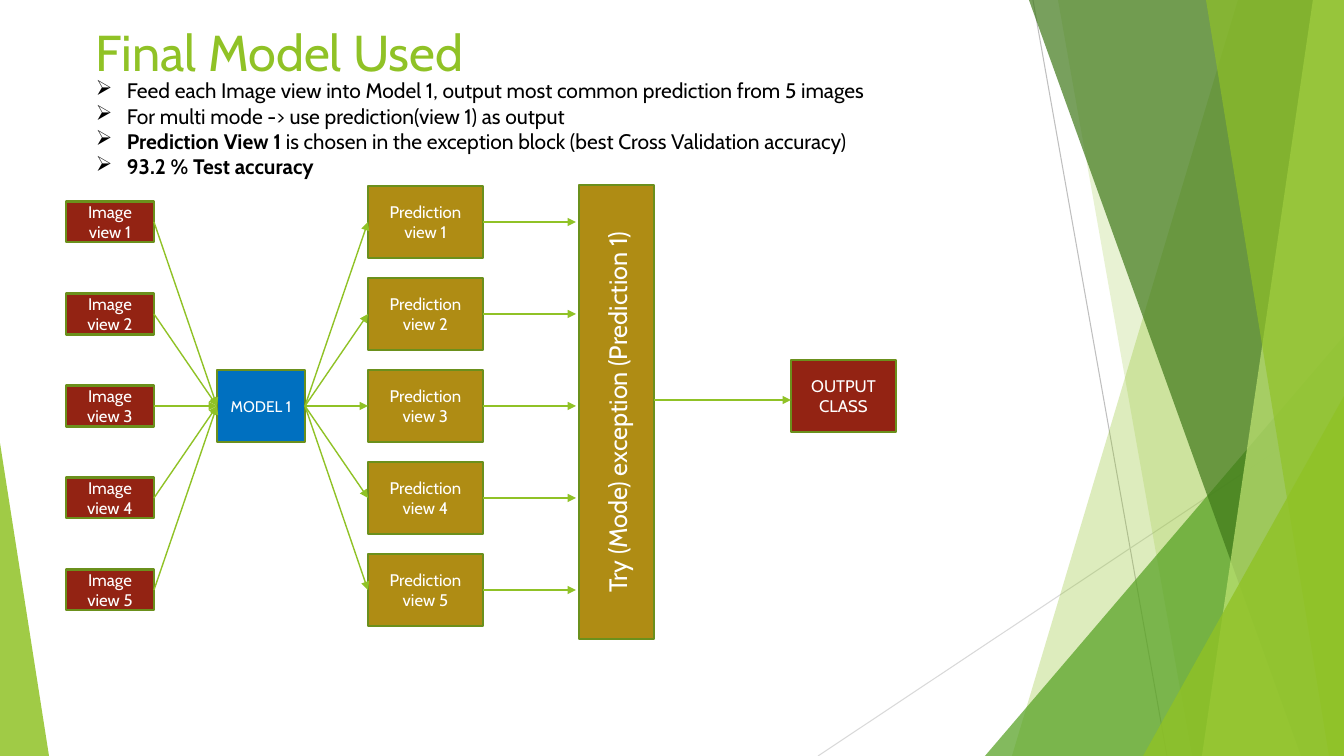
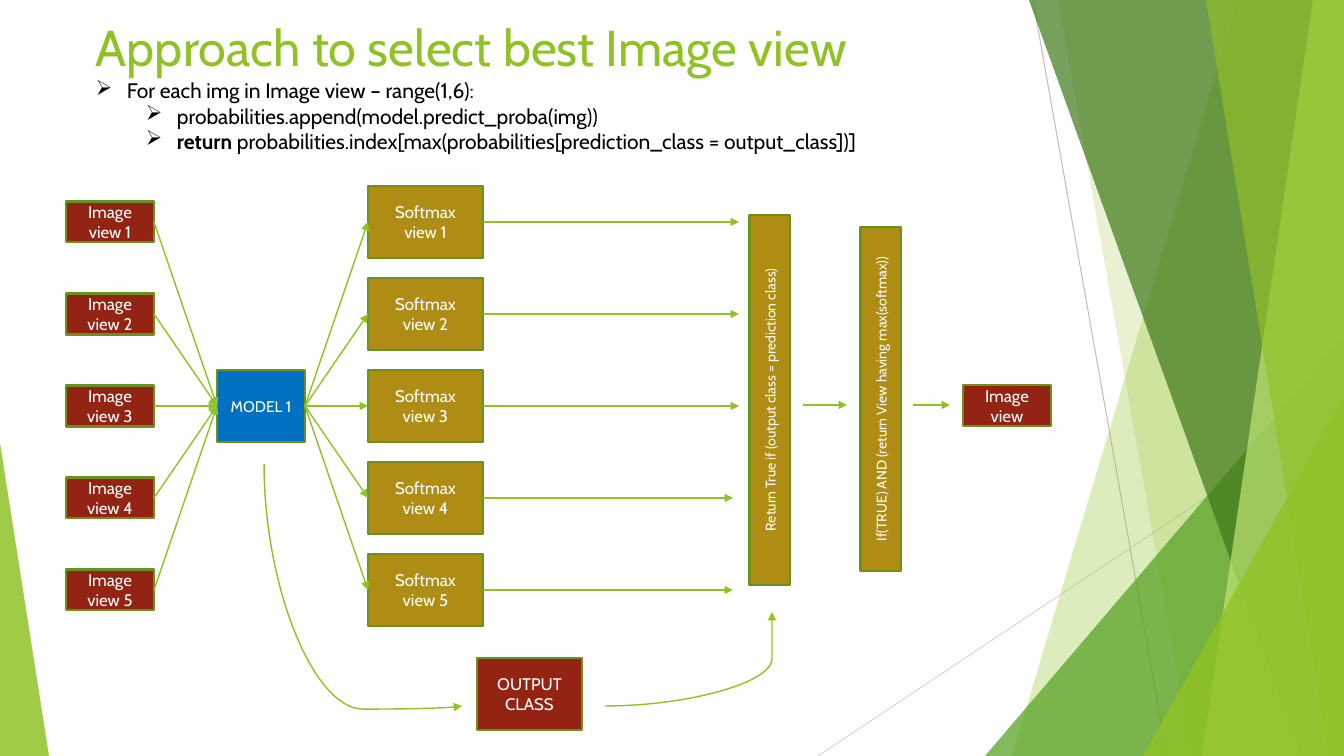
from lxml import etree
from pptx import Presentation
from pptx.dml.color import RGBColor
from pptx.enum.shapes import MSO_CONNECTOR, MSO_SHAPE
from pptx.enum.text import MSO_ANCHOR, PP_ALIGN
from pptx.oxml.ns import qn
from pptx.util import Pt

PX = 914400 / 100.8  # EMU in one px
WIDE, HIGH = 1344, 756
FONT = "Cabin"
COLORS = {
    "lime": "90C226", "pale": "C0E474", "green": "54A021", "dark": "3F7819",
    "edge": "6B901C", "red": "932313", "blue": "0070C0", "gold": "AF8C14",
    "white": "FFFFFF", "black": "000000", "gray": "BFBFBF", "mist": "D9D9D9",
}

# Background, back to front. A slab runs from (top x, bottom x) to the right edge;
# a wedge is a triangle: left, top, width, height, apex.
RULES = [(1033, 0, 1167, 756, "gray"), (1344, 406, 818, 756, "mist")]
FACETS = [
    ("slab", (1238, 1012), "lime", 30),
    ("slab", (1058, 1192), "lime", 20),
    ("wedge", (985, 336, 359, 420, 1), "green", 72),
    ("slab", (1029, 1301), "dark", 70),
    ("slab", (1313, 1202), "pale", 70),
    ("slab", (1206, 1329), "lime", 65),
    ("wedge", (1143, 396, 201, 360, 1), "lime", 80),
    ("wedge", (0, 443, 49, 313, 0), "lime", 85),
]

# Bullets: level, bold lead, plain rest.
# Boxes: left, top, width, height, text, fill. Bars: centre x, centre y, length, thickness, text, size.
# Curves: start x, start y, end x, end y, rotation, bend in thousandths of a percent.
SLIDES = [
    {
        "title": ("Final Model Used", 16),
        "bullets": [
            (0, "", "Feed each Image view into Model 1, output most common prediction from 5 images"),
            (0, "", "For multi mode -> use prediction(view 1) as output"),
            (0, "Prediction View 1", " is chosen in the exception block (best Cross Validation accuracy)"),
            (0, "93.2 % Test accuracy", ""),
        ],
        "stage": "Prediction",
        "tips": [576] * 5,
        "bars": [(617, 412, 454, 75, "Try (Mode) exception (Prediction 1)", 18)],
        "boxes": [(791, 360, 105, 72, "OUTPUT CLASS", "red")],
        "arrows": [(654, 400, 791, 400)],
        "curves": [],
    },
    {
        "title": ("Approach to select best Image view", 11),
        "bullets": [
            (0, "", "For each img in Image view – range(1,6):"),
            (1, "", "probabilities.append(model.predict_proba(img))"),
            (1, "return ", "probabilities.index[max(probabilities[prediction_class = output_class])]"),
        ],
        "stage": "Softmax",
        "tips": [739] * 3 + [733] * 2,
        "bars": [
            (770, 400, 370, 41, "Return True if (output class = prediction class)", 10),
            (881, 399, 344, 41, "If(TRUE) AND (return View having max(softmax))", 10),
        ],
        "boxes": [
            (477, 658, 105, 72, "OUTPUT CLASS", "red"),
            (963, 385, 88, 41, "Image view", "red"),
        ],
        "arrows": [(803, 405, 847, 405), (913, 405, 950, 405)],
        "curves": [
            (484, 486, 242, 684, 270, 101300),
            (605, 706, 772, 612, 0, 100000),
        ],
    },
]

# Shared flow: five rows that meet in one model
ROWS, ROW_TOP, STEP = 5, 222, 92
VIEW = (66, 88, 41)    # left, width, height
STAGE = (368, 115, 72)
MODEL = (217, 370, 88, 72)


def emu(*nums):
    return [round(n * PX) for n in nums]


def rgb(name):
    return RGBColor.from_string(COLORS[name])


def style(para, size, color):
    para.font.name = FONT
    para.font.size = Pt(size)
    para.font.color.rgb = rgb(color)


def paint(shape, fill, edge=None, alpha=None):
    shape.shadow.inherit = False
    shape.fill.solid()
    shape.fill.fore_color.rgb = rgb(fill)
    if edge:
        shape.line.color.rgb = rgb(edge)
        shape.line.width = Pt(1.5)
    else:
        shape.line.fill.background()
    if alpha:
        tint = shape.element.spPr.find(qn("a:solidFill"))[0]
        etree.SubElement(tint, qn("a:alpha")).set("val", str(alpha * 1000))


def link(slide, ends, color="lime", width=1, head=True, kind=MSO_CONNECTOR.STRAIGHT):
    line = slide.shapes.add_connector(kind, *emu(*ends))
    line.line.color.rgb = rgb(color)
    line.line.width = Pt(width)
    props = line.element.spPr
    if head:
        tail = etree.SubElement(props.find(qn("a:ln")), qn("a:tailEnd"))
        tail.set("type", "triangle")
    etree.SubElement(props, qn("a:effectLst"))
    return line


def curve(slide, *ends, turn, bend):
    props = link(slide, ends, kind=MSO_CONNECTOR.CURVE).element.spPr
    props.find(qn("a:xfrm")).set("rot", str(turn * 60000))
    guides = props.find(qn("a:prstGeom")).find(qn("a:avLst"))
    guide = etree.SubElement(guides, qn("a:gd"))
    guide.set("name", "adj1")
    guide.set("fmla", f"val {bend}")


def box(slide, left, top, width, height, text, fill, size=12):
    shape = slide.shapes.add_shape(MSO_SHAPE.RECTANGLE, *emu(left, top, width, height))
    paint(shape, fill, "edge")
    frame = shape.text_frame
    frame.word_wrap = True
    frame.vertical_anchor = MSO_ANCHOR.MIDDLE
    para = frame.paragraphs[0]
    para.text = text
    para.alignment = PP_ALIGN.CENTER
    style(para, size, "white")
    return shape


def bar(slide, mid_x, mid_y, length, thick, text, size):
    """Add an upright box whose text reads upwards."""
    left, top = mid_x - length / 2, mid_y - thick / 2
    box(slide, left, top, length, thick, text, "gold", size).rotation = 270


def backdrop(slide):
    for *ends, color in RULES:
        link(slide, ends, color, 0.75, head=False)
    for kind, geo, color, alpha in FACETS:
        if kind == "slab":
            top, foot = geo
            pen = slide.shapes.build_freeform(top, 0, scale=PX)
            pen.add_line_segments([(WIDE, 0), (WIDE, HIGH), (foot, HIGH)])
            shape = pen.convert_to_shape()
        else:
            *place, apex = geo
            shape = slide.shapes.add_shape(MSO_SHAPE.ISOSCELES_TRIANGLE, *emu(*place))
            shape.adjustments[0] = apex
        paint(shape, color, alpha=alpha)


def frame_at(slide, *place):
    frame = slide.shapes.add_textbox(*emu(*place)).text_frame
    frame.word_wrap = True
    return frame


def heading(slide, text, top):
    para = frame_at(slide, 86, top, 936, 79).paragraphs[0]
    para.text = text
    style(para, 36, "lime")


def bullets(slide, items):
    frame = frame_at(slide, 86, 73, 886, 10 + 25 * len(items))
    for num, (level, lead, rest) in enumerate(items):
        para = frame.add_paragraph() if num else frame.paragraphs[0]
        para.level = level
        props = para._p.get_or_add_pPr()
        indent, hang = emu(31 + 50 * level, -31)
        props.set("marL", str(indent))
        props.set("indent", str(hang))
        etree.SubElement(props, qn("a:buChar")).set("char", "➢")
        style(para, 15, "black")
        for text, bold in ((lead, True), (rest, False)):
            if text:
                run = para.add_run()
                run.text = text
                run.font.bold = bold


def flow(slide, stage, tips):
    """Draw the views, the model, the stage boxes and the arrows between them."""
    left, top, width, height = MODEL
    mid = top + height / 2
    mids = [ROW_TOP + STEP * row for row in range(ROWS)]
    for name, (x, w, h), fill in (("Image", VIEW, "red"), (stage, STAGE, "gold")):
        for num, y in enumerate(mids, 1):
            box(slide, x, y - h / 2, w, h, f"{name} view {num}", fill)
    box(slide, *MODEL, "MODEL 1", "blue", 11)
    for y, tip in zip(mids, tips):
        link(slide, (VIEW[0] + VIEW[1], y, left, mid))
        link(slide, (left + width, mid, STAGE[0], y))
        link(slide, (STAGE[0] + STAGE[1], y, tip, y))


def main():
    deck = Presentation()
    deck.slide_width, deck.slide_height = emu(WIDE, HIGH)
    for page in SLIDES:
        slide = deck.slides.add_slide(deck.slide_layouts[6])
        backdrop(slide)
        heading(slide, *page["title"])
        bullets(slide, page["bullets"])
        flow(slide, page["stage"], page["tips"])
        for item in page["bars"]:
            bar(slide, *item)
        for item in page["boxes"]:
            box(slide, *item)
        for ends in page["arrows"]:
            link(slide, ends)
        for *ends, turn, bend in page["curves"]:
            curve(slide, *ends, turn=turn, bend=bend)
    deck.save("out.pptx")


if __name__ == "__main__":
    main()
